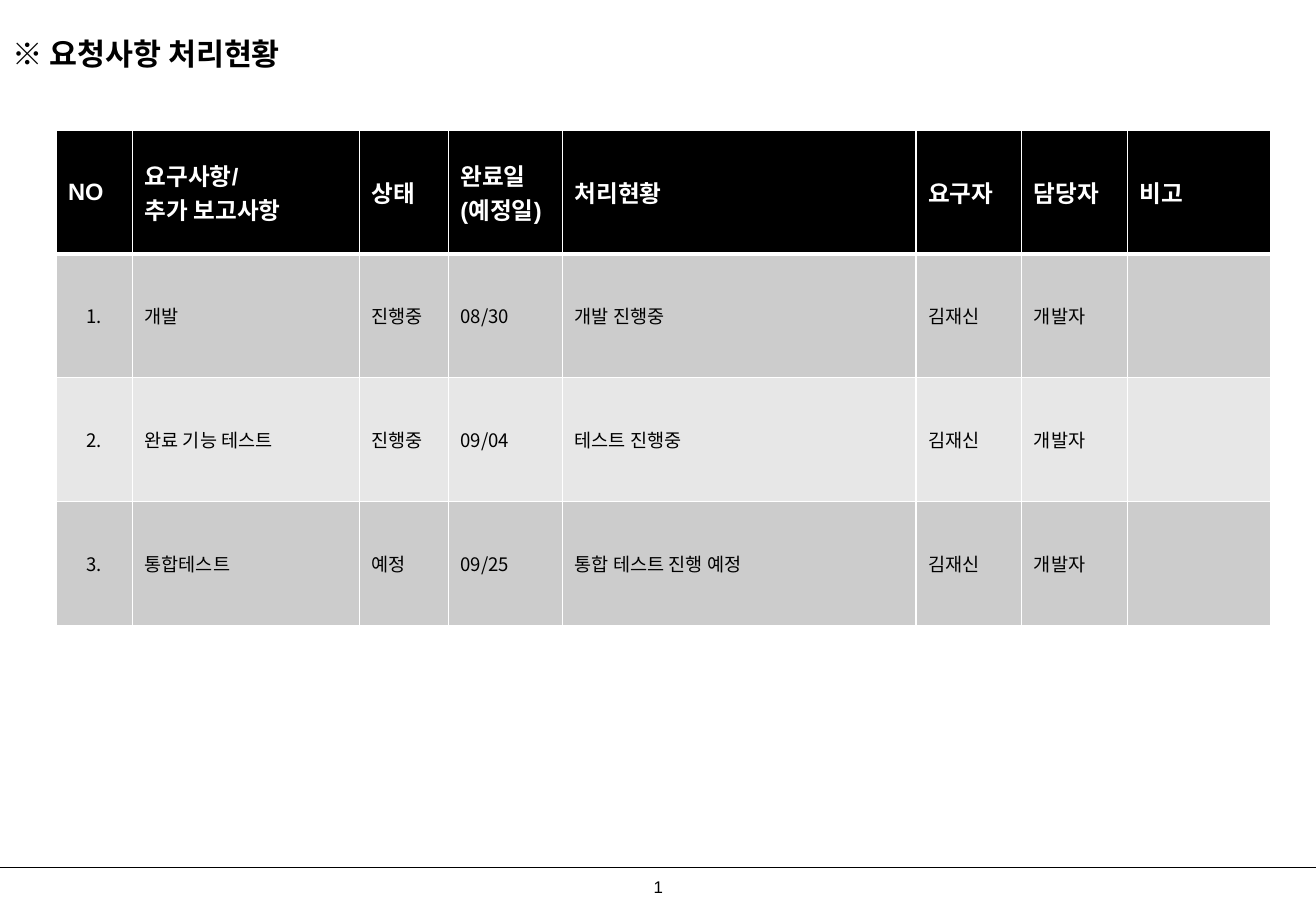
from lxml.etree import SubElement
from pptx import Presentation
from pptx.dml.color import RGBColor
from pptx.enum.shapes import MSO_CONNECTOR
from pptx.enum.text import MSO_ANCHOR, MSO_AUTO_SIZE, PP_ALIGN
from pptx.oxml.ns import qn
from pptx.util import Inches, Pt

COLORS = {"ink": "000000", "paper": "FFFFFF", "odd": "CCCCCC", "even": "E7E7E7"}
LATIN, KOREAN = "Arial", "Noto Sans CJK KR"
COLUMN_WIDTHS = [0.63, 1.87, 0.73, 0.94, 2.91, 0.87, 0.87, 1.18]
ROW_HEIGHT = 1.02
HEADER = ["NO", "요구사항/\n추가 보고사항", "상태", "완료일(예정일)",
          "처리현황", "요구자", "담당자", "비고"]
REQUESTS = [
    ["1.", "개발", "진행중", "08/30", "개발 진행중", "김재신", "개발자", ""],
    ["2.", "완료 기능 테스트", "진행중", "09/04", "테스트 진행중", "김재신", "개발자", ""],
    ["3.", "통합테스트", "예정", "09/25", "통합 테스트 진행 예정", "김재신", "개발자", ""],
]


def color(name):
    """Return the named palette colour."""
    return RGBColor.from_string(COLORS[name])


def format_text(frame, size, font, ink="ink", bold=False, align=PP_ALIGN.LEFT):
    """Format every paragraph and run of a text frame."""
    for para in frame.paragraphs:
        para.alignment = align
        for span in para.runs:
            span.font.size = Pt(size)
            span.font.name = font
            span.font.bold = bold
            span.font.color.rgb = color(ink)
            SubElement(span.font._element, qn("a:ea"), typeface=KOREAN)


def set_borders(cell, top, bottom):
    """Draw white cell borders, with top and bottom widths in points."""
    properties = cell._tc.get_or_add_tcPr()
    for side, width in (("L", 1), ("R", 1), ("T", top), ("B", bottom)):
        line = SubElement(properties, qn(f"a:ln{side}"), w=str(Pt(width)))
        fill = SubElement(line, qn("a:solidFill"))
        SubElement(fill, qn("a:srgbClr"), val=COLORS["paper"])


def add_title(page, text):
    """Place and format the slide title."""
    title = page.shapes.title
    title.left, title.top = Inches(0), Inches(0.13)
    title.width, title.height = Inches(9.75), Inches(0.62)
    frame = title.text_frame
    frame.text = text
    frame.auto_size = MSO_AUTO_SIZE.NONE
    frame.vertical_anchor = MSO_ANCHOR.MIDDLE
    format_text(frame, 18, LATIN, bold=True)


def add_footer(page, number):
    """Add the footer rule and the page number."""
    rule = page.shapes.add_connector(MSO_CONNECTOR.STRAIGHT, Inches(0), Inches(7.14),
                                     Inches(10.83), Inches(7.14))
    rule.line.color.rgb = color("ink")
    rule.line.width = Pt(0.75)
    SubElement(rule._element.spPr, qn("a:effectLst"))
    box = page.shapes.add_textbox(Inches(5.28), Inches(7.17), Inches(0.37), Inches(0.27))
    frame = box.text_frame
    frame.text = number
    frame.word_wrap = False
    frame.auto_size = MSO_AUTO_SIZE.SHAPE_TO_FIT_TEXT
    format_text(frame, 10, LATIN)


def fill_cell(cell, text, row, column):
    """Write one table cell and style it by its row and column."""
    is_header = row == 0
    cell.text_frame.text = text
    cell.vertical_anchor = MSO_ANCHOR.MIDDLE
    set_borders(cell, 3 if row == 1 else 1, 3 if is_header else 1)
    cell.fill.solid()
    if is_header:
        cell.fill.fore_color.rgb = color("ink")
        format_text(cell.text_frame, 14, LATIN, "paper", bold=True)
    else:
        cell.fill.fore_color.rgb = color("odd" if row % 2 else "even")
        align = PP_ALIGN.CENTER if column == 0 else PP_ALIGN.LEFT
        format_text(cell.text_frame, 11, KOREAN, align=align)


def add_request_table(page):
    """Add the table of requests and their progress."""
    rows = [HEADER] + REQUESTS
    table = page.shapes.add_table(len(rows), len(HEADER), Inches(0.46), Inches(1.07),
                                  Inches(sum(COLUMN_WIDTHS)),
                                  Inches(ROW_HEIGHT * len(rows))).table
    for column, width in zip(table.columns, COLUMN_WIDTHS):
        column.width = Inches(width)
    for row, texts in enumerate(rows):
        table.rows[row].height = Inches(ROW_HEIGHT)
        for column, text in enumerate(texts):
            fill_cell(table.cell(row, column), text, row, column)


def main():
    """Build and save the request status slide."""
    deck = Presentation()
    deck.slide_width, deck.slide_height = Inches(10.83), Inches(7.5)
    page = deck.slides.add_slide(deck.slide_layouts[5])
    add_footer(page, "1")
    add_request_table(page)
    add_title(page, "※ 요청사항 처리현황")
    deck.save("out.pptx")


if __name__ == "__main__":
    main()
